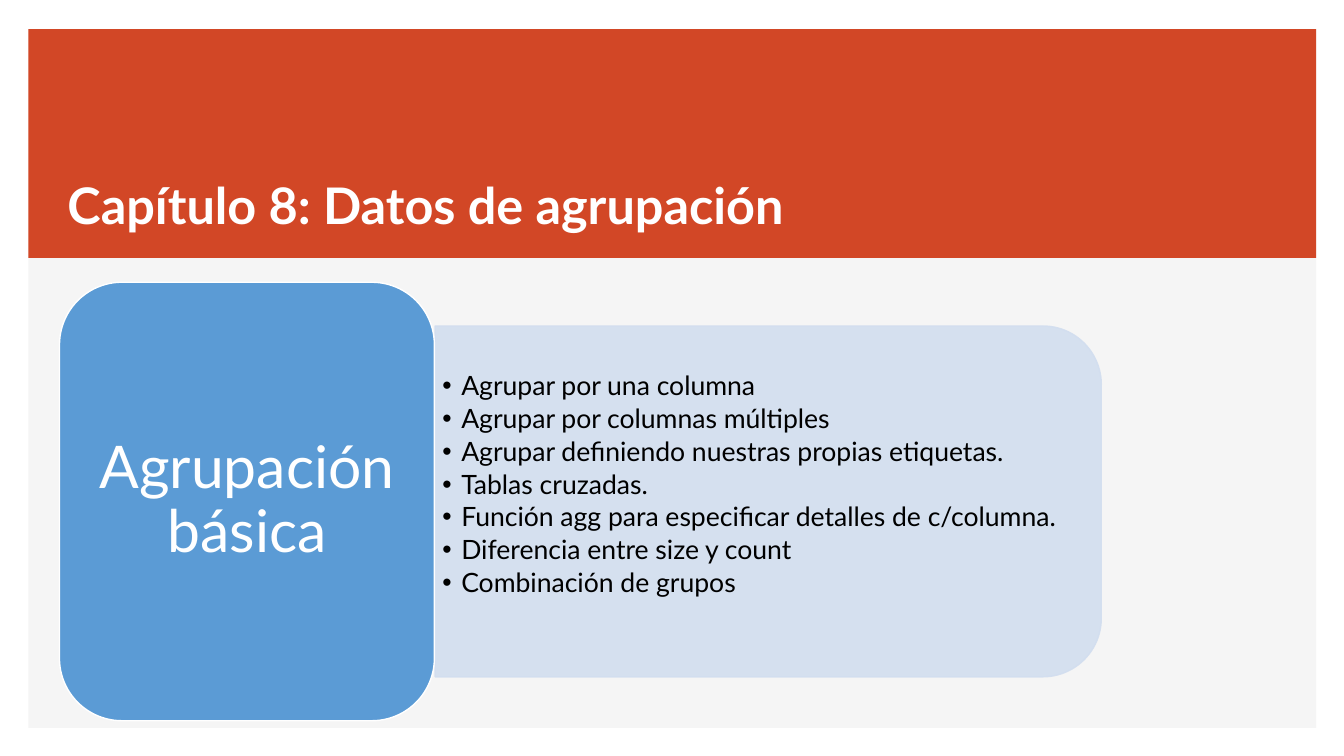
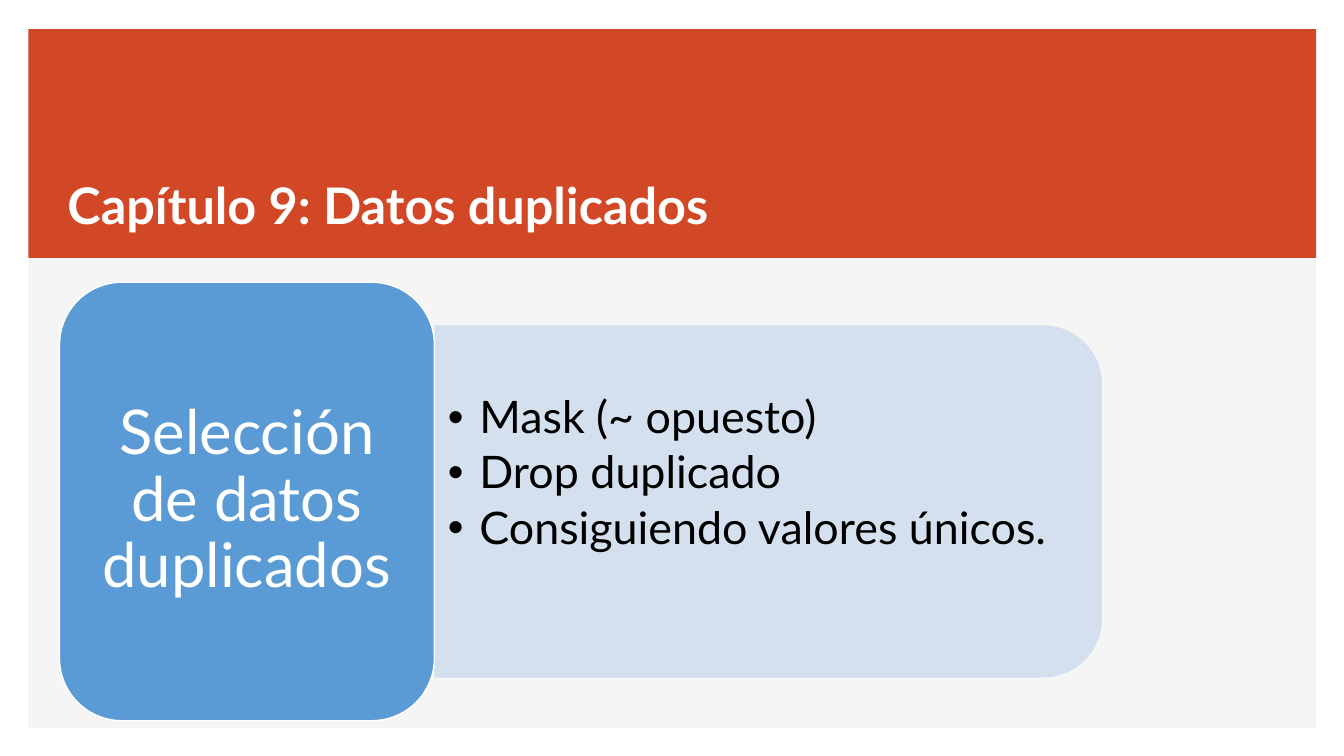
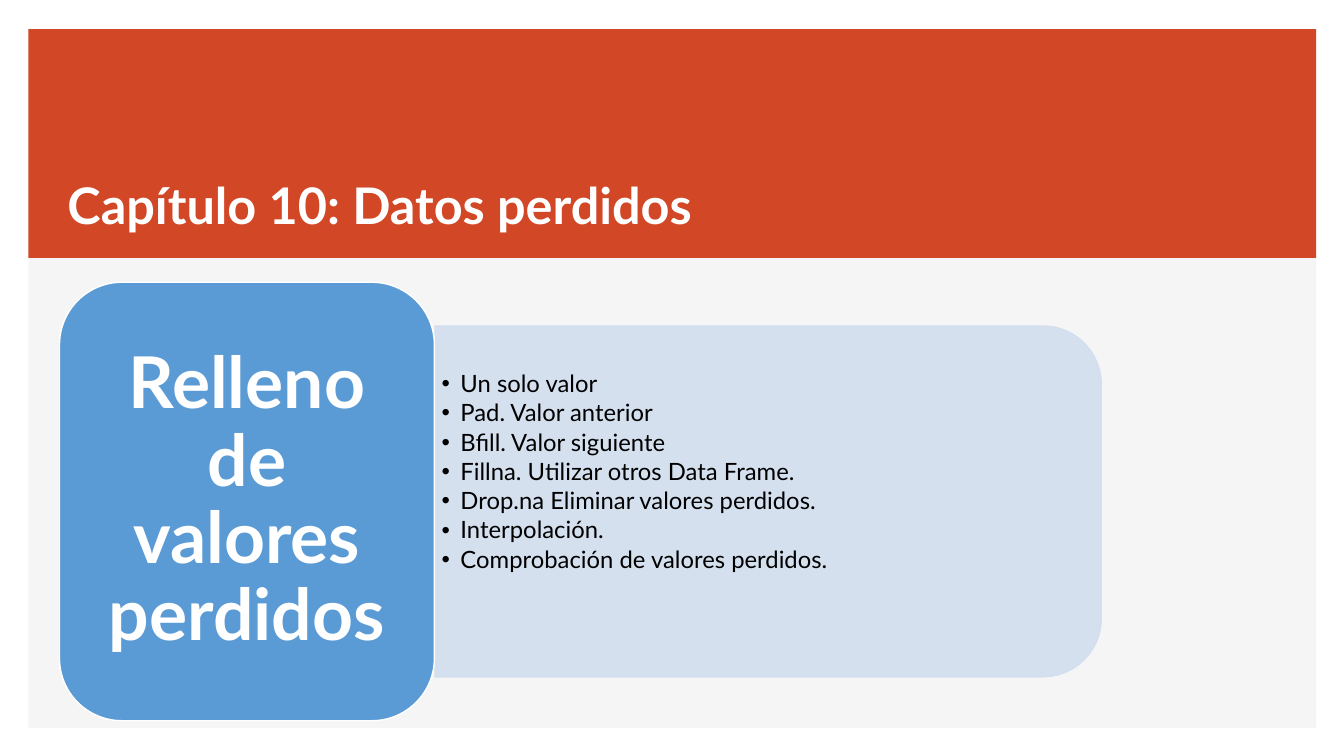
from dataclasses import dataclass
from typing import Any

from lxml import etree
from pptx import Presentation
from pptx.dml.color import RGBColor
from pptx.enum.shapes import MSO_SHAPE
from pptx.enum.text import MSO_ANCHOR, MSO_AUTO_SIZE, PP_ALIGN
from pptx.oxml.ns import qn
from pptx.util import Pt

RECTANGLE = MSO_SHAPE.RECTANGLE
ROUNDED = MSO_SHAPE.ROUNDED_RECTANGLE
ROUNDED_TOP = MSO_SHAPE.ROUND_2_SAME_RECTANGLE
LEFT, CENTER = PP_ALIGN.LEFT, PP_ALIGN.CENTER
MIDDLE, BOTTOM = MSO_ANCHOR.MIDDLE, MSO_ANCHOR.BOTTOM
FIXED_SIZE = MSO_AUTO_SIZE.NONE

COLOURS = {
    "paper": "F5F5F5",
    "band": "D24726",
    "panel": "D2DEEF",
    "block": "5B9BD5",
    "white": "FFFFFF",
    "black": "000000",
}
FRAMES = {
    "paper": (20.2, 20.9, 920, 499),
    "band": (20.2, 20.9, 920, 163.4),
    "title": (41, 121, 541.4, 50.4),
    "panel": (423.4, 120.2, 250.6, 475.9),
    "list": (310.3, 245.5, 463.7, 226),
    "block": (42.5, 201.6, 267.8, 313.2),
}
FONT = "Lato"
LINE_SPACING = 0.9
LIST_GAP = 0.15
LIST_PITCH = 1.2 * LINE_SPACING + LIST_GAP
INSET = 0.3


def apply(target, values):
    for name, value in values.items():
        setattr(target, name, value)


@dataclass
class Deck:
    presentation: Any
    layout: Any
    slide: Any = None

    def colour(self, name):
        return RGBColor.from_string(COLOURS[name])

    def new_slide(self):
        self.slide = self.presentation.slides.add_slide(self.layout)

    def place(self, shape, frame):
        sides = ("left", "top", "width", "height")
        apply(shape, dict(zip(sides, map(Pt, FRAMES[frame]))))

    def shape(self, kind, name, line=None):
        shape = self.slide.shapes.add_shape(kind, *map(Pt, FRAMES[name]))
        shape.shadow.inherit = False
        shape.fill.solid()
        shape.fill.fore_color.rgb = self.colour(name)
        if line:
            shape.line.color.rgb = self.colour(line)
            shape.line.width = Pt(1)
        else:
            shape.line.fill.background()
        return shape

    def backdrop(self):
        tree = self.layout.element.cSld.spTree
        for order, name in enumerate(("paper", "band")):
            element = self.shape(RECTANGLE, name).element
            element.nvSpPr.cNvPr.set("id", str(100 + order))
            tree.insert(2 + order, element)

    def fill_text(self, shape, lines, size, colour, anchor, paragraph_values, bold=False):
        frame = shape.text_frame
        apply(frame, {"word_wrap": True, "auto_size": FIXED_SIZE, "vertical_anchor": anchor})
        frame.text = "\n".join(lines)
        for paragraph in frame.paragraphs:
            apply(paragraph, paragraph_values)
            for run in paragraph.runs:
                apply(run.font, {"name": FONT, "size": Pt(size), "bold": bold})
                run.font.color.rgb = self.colour(colour)

    def inset(self, shape, size, extra_bottom=0):
        side, edge = INSET * size, INSET * size / 2
        apply(shape.text_frame, {
            "margin_left": Pt(side),
            "margin_right": Pt(side),
            "margin_top": Pt(edge),
            "margin_bottom": Pt(edge + extra_bottom),
        })

    def title(self, text):
        title = self.slide.shapes.title
        self.place(title, "title")
        self.fill_text(title, [text], 36, "white", BOTTOM, {"alignment": LEFT}, True)

    def panel(self):
        panel = self.shape(ROUNDED_TOP, "panel", "panel")
        panel.rotation = 90
        for colour in panel.element.iter(qn("a:srgbClr")):
            etree.SubElement(colour, qn("a:alpha"), val="90000")

    def bullets(self, items, size, indent, lines_below):
        body = self.slide.placeholders[1]
        self.place(body, "list")
        body.element.getparent().append(body.element)
        self.fill_text(body, items, size, "black", MIDDLE, {
            "alignment": LEFT,
            "line_spacing": LINE_SPACING,
            "space_before": Pt(0),
            "space_after": Pt(LIST_GAP * size),
        })
        self.inset(body, size, lines_below * LIST_PITCH * size)
        for paragraph in body.text_frame.paragraphs:
            properties = paragraph._p.get_or_add_pPr()
            properties.set("marL", str(Pt(indent)))
            properties.set("indent", str(-Pt(indent)))
            etree.SubElement(properties, qn("a:buChar"), char="•")

    def block(self, text, size, bold):
        block = self.shape(ROUNDED, "block", "white")
        self.fill_text(block, [text], size, "white", MIDDLE,
                       {"alignment": CENTER, "line_spacing": LINE_SPACING}, bold)
        self.inset(block, size)


CHAPTERS = [
    {
        "title": "Capítulo 8: Datos de agrupación",
        "block": ("Agrupación básica", 42, False),
        "list": ([
            "Agrupar por una columna",
            "Agrupar por columnas múltiples",
            "Agrupar definiendo nuestras propias etiquetas.",
            "Tablas cruzadas.",
            "Función agg para especificar detalles de c/columna.",
            "Diferencia entre size y count",
            "Combinación de grupos",
        ], 19, 13.5, 1),
    },
    {
        "title": "Capítulo 9: Datos duplicados",
        "block": ("Selección de datos duplicados", 44, False),
        "list": ([
            "Mask (~ opuesto)",
            "Drop duplicado",
            "Consiguiendo valores únicos.",
        ], 32, 22.5, 1),
    },
    {
        "title": "Capítulo 10: Datos perdidos",
        "block": ("Relleno de valores perdidos", 51, True),
        "list": ([
            "Un solo valor",
            "Pad. Valor anterior",
            "Bfill. Valor siguiente",
            "Fillna. Utilizar otros Data Frame.",
            "Drop.na Eliminar valores perdidos.",
            "Interpolación.",
            "Comprobación de valores perdidos.",
        ], 17, 13.5, 2),
    },
]

presentation = Presentation()
apply(presentation, {"slide_width": Pt(960), "slide_height": Pt(540)})
deck = Deck(presentation, presentation.slide_layouts[1])
for number, chapter in enumerate(CHAPTERS):
    deck.new_slide()
    if number == 0:
        deck.backdrop()
    deck.title(chapter["title"])
    deck.panel()
    deck.bullets(*chapter["list"])
    deck.block(*chapter["block"])
presentation.save("out.pptx")
